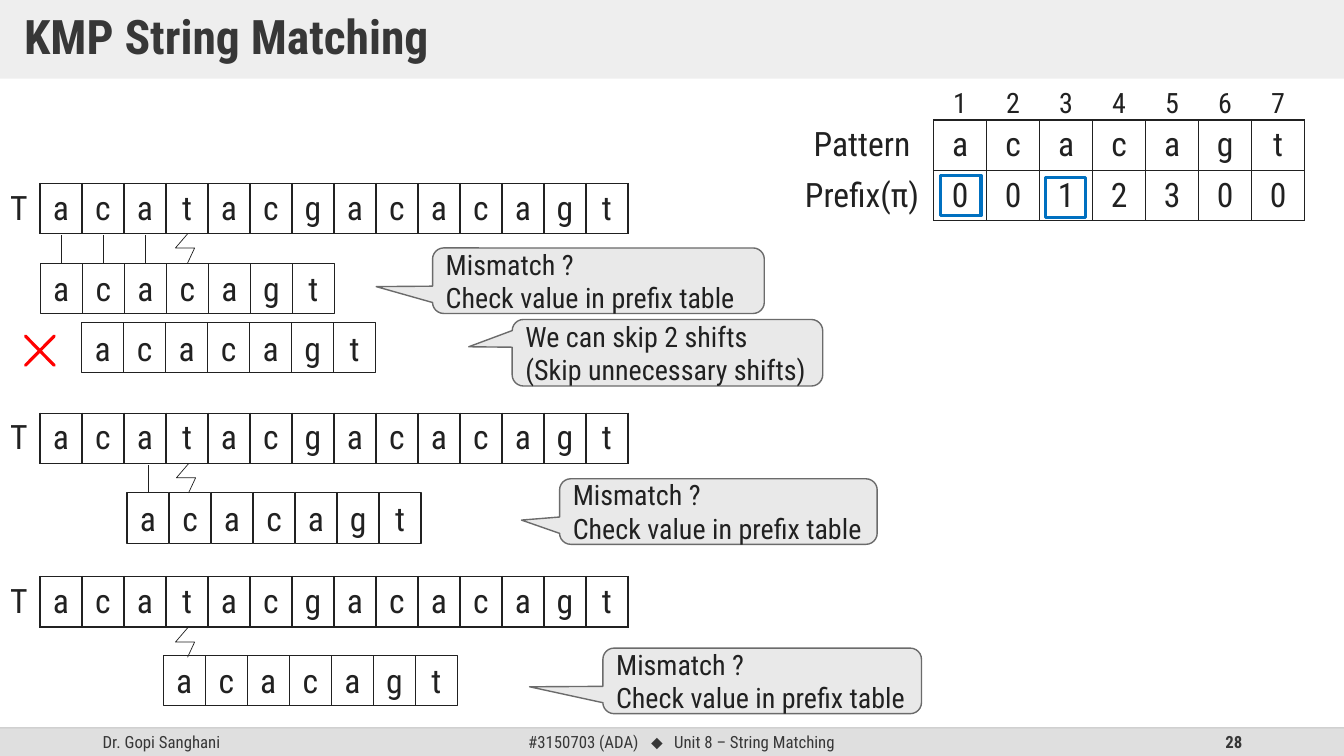
from dataclasses import dataclass

from lxml import etree
from pptx import Presentation
from pptx.dml.color import RGBColor
from pptx.enum.shapes import MSO_CONNECTOR, MSO_SHAPE
from pptx.enum.text import MSO_ANCHOR, PP_ALIGN
from pptx.oxml.ns import qn
from pptx.util import Inches, Pt

RECTANGLE, ROUNDED = MSO_SHAPE.RECTANGLE, MSO_SHAPE.ROUNDED_RECTANGLE
CALLOUT, MULTIPLY = MSO_SHAPE.ROUNDED_RECTANGULAR_CALLOUT, MSO_SHAPE.MATH_MULTIPLY
STRAIGHT = MSO_CONNECTOR.STRAIGHT
LEFT, CENTER, RIGHT = PP_ALIGN.LEFT, PP_ALIGN.CENTER, PP_ALIGN.RIGHT
MIDDLE, BOTTOM = MSO_ANCHOR.MIDDLE, MSO_ANCHOR.BOTTOM

WIDTH, HEIGHT = 13.33, 7.5
FOOTER_TOP, FOOTER_HEIGHT = 7.22, 0.28
CELL_WIDTH, CELL_HEIGHT = 6.25 / 15, 0.5
MATCH_GAP = 0.28
TEXT, PATTERN = "acatacgacacagt", "acacagt"
MISMATCH = ["Mismatch ?", "Check value in prefix table"]
SKIP = ["We can skip 2 shifts", "(Skip unnecessary shifts)"]


@dataclass(frozen=True)
class Theme:
    """Colours, font names and type sizes of the slide."""
    font: str = "Roboto Condensed"
    symbol_font: str = "Arial"
    ink: str = "212121"
    heading: str = "373737"
    bar: str = "DFDFDF"
    rule: str = "BFBFBF"
    bubble: str = "E9E9E9"
    bubble_edge: str = "6B6B6B"
    highlight: str = "0070C0"
    cross: str = "FF0000"
    cross_fill: str = "909090"
    title_size: int = 34
    letter_size: int = 24
    note_size: int = 20
    footer_size: int = 12


class SlideBuilder:
    """Draws styled elements on one slide."""

    def __init__(self, slide, theme):
        self.shapes, self.theme = slide.shapes, theme

    def style(self, span, size, color=None, bold=False):
        span.font.name, span.font.size, span.font.bold = self.theme.font, Pt(size), bold
        span.font.color.rgb = RGBColor.from_string(color or self.theme.ink)

    def set_text(self, frame, lines, size, color=None, align=CENTER, bold=False):
        frame.text = "\n".join(lines)
        for para in frame.paragraphs:
            para.alignment = align
            for span in para.runs:
                self.style(span, size, color, bold)

    def paint(self, shape, fill=None, line=None, weight=1):
        shape.shadow.inherit = False
        if fill:
            shape.fill.solid()
            shape.fill.fore_color.rgb = RGBColor.from_string(fill)
        else:
            shape.fill.background()
        if line:
            shape.line.color.rgb = RGBColor.from_string(line)
            shape.line.width = Pt(weight)
        else:
            shape.line.fill.background()

    def fade(self, shape, percent):
        for color in shape._element.spPr.iter(qn("a:srgbClr")):
            etree.SubElement(color, qn("a:alpha"), val=str(percent * 1000))

    def box(self, kind, left, top, width, height, adjust=(), **paint):
        shape = self.shapes.add_shape(kind, *map(Inches, (left, top, width, height)))
        for index, value in enumerate(adjust):
            shape.adjustments[index] = value
        self.paint(shape, **paint)
        shape.text_frame.word_wrap = True
        shape.text_frame.vertical_anchor = MIDDLE
        return shape

    def line(self, start, end, color, weight):
        line = self.shapes.add_connector(STRAIGHT, *map(Inches, (*start, *end)))
        line.line.color.rgb = RGBColor.from_string(color)
        line.line.width = Pt(weight)
        etree.SubElement(line._element.spPr, qn("a:effectLst"))
        return line

    def title(self, text):
        bar = self.box(RECTANGLE, 0, 0, WIDTH, 0.78, fill=self.theme.bar)
        self.fade(bar, 50)
        frame = bar.text_frame
        frame.margin_left = frame.margin_right = Inches(0.24)
        frame.margin_top = frame.margin_bottom = Inches(0.12)
        self.set_text(frame, [text], self.theme.title_size, self.theme.heading, LEFT, True)
        frame.paragraphs[0].line_spacing = 0.9

    def footer_text(self, left, width, text, align, bold=False):
        box = self.shapes.add_textbox(*map(Inches, (left, FOOTER_TOP, width, FOOTER_HEIGHT)))
        box.text_frame.word_wrap = True
        box.text_frame.vertical_anchor = MIDDLE
        self.set_text(box.text_frame, [text], self.theme.footer_size, self.theme.heading,
                      align, bold)
        return box.text_frame.paragraphs[0]

    def footer(self, author, course, unit, number):
        self.box(ROUNDED, 0, FOOTER_TOP, WIDTH, FOOTER_HEIGHT, [0], fill=self.theme.bar)
        self.footer_text(0.92, 3, author, LEFT)
        para = self.footer_text(4.42, 4.68, course, CENTER)
        for text in (" ⬥", f" {unit}"):
            span = para.add_run()
            span.text = text
            self.style(span, self.theme.footer_size, self.theme.heading)
        diamond = para.runs[1]
        diamond.font.name = self.theme.symbol_font
        diamond._r.get_or_add_rPr().set("spc", "540")
        self.footer_text(9.42, 3, number, RIGHT, True)
        rule = self.line((0, FOOTER_TOP), (WIDTH, FOOTER_TOP), self.theme.rule, 1)
        self.fade(rule, 70)

    def borders(self, cell, sides):
        properties = cell._tc.get_or_add_tcPr()
        for index, side in enumerate("LRTB"):
            edge = etree.Element(qn(f"a:ln{side}"), w=str(Pt(1)))
            if side in sides:
                fill = etree.SubElement(edge, qn("a:solidFill"))
                etree.SubElement(fill, qn("a:srgbClr"), val=self.theme.ink)
            else:
                etree.SubElement(edge, qn("a:noFill"))
            properties.insert(index, edge)

    def table(self, left, top, widths, height, rows, has_header=False):
        frame = self.shapes.add_table(len(rows), len(widths), *map(
            Inches, (left, top, sum(widths), height * len(rows))))
        table = frame.table
        table.first_row = table.horz_banding = False
        for column, width in zip(table.columns, widths):
            column.width = Inches(width)
        for row_index, values in enumerate(rows):
            table.rows[row_index].height = Inches(height)
            is_header = has_header and row_index == 0
            for column_index, value in enumerate(values):
                cell = table.cell(row_index, column_index)
                cell.fill.background()
                cell.vertical_anchor = BOTTOM if is_header else MIDDLE
                if is_header:
                    cell.margin_bottom = 0
                size = self.theme.note_size if is_header else self.theme.letter_size
                self.set_text(cell.text_frame, [value], size)
                if column_index == 0:
                    self.borders(cell, "" if is_header else "R")
                else:
                    self.borders(cell, "B" if is_header else "LRTB")

    def pattern(self, left, top, matches):
        for index, letter in enumerate(PATTERN):
            cell_left = left + index * CELL_WIDTH
            cell = self.box(RECTANGLE, cell_left, top, CELL_WIDTH, CELL_HEIGHT,
                            line=self.theme.ink, weight=0.75)
            self.set_text(cell.text_frame, [letter], self.theme.letter_size)
            if index < matches:
                middle = cell_left + CELL_WIDTH / 2
                link = self.line((middle, top), (middle, top - MATCH_GAP), self.theme.ink, 0.5)
                link.begin_connect(cell, 0)

    def bolt(self, left, top):
        start, *rest = [(Inches(left + x), Inches(top + y)) for x, y in
                        ((0.12, 0), (0, 0.14), (0.19, 0.14), (0.12, 0.29))]
        outline = self.shapes.build_freeform(*start)
        outline.add_line_segments(rest, close=False)
        self.paint(outline.convert_to_shape(), line=self.theme.ink, weight=0.5)

    def callout(self, place, tip, lines):
        bubble = self.box(CALLOUT, *place, [*tip, 0.17],
                          fill=self.theme.bubble, line=self.theme.bubble_edge)
        self.set_text(bubble.text_frame, lines, self.theme.note_size, align=LEFT)


def main():
    """Build the string matching slide and save it."""
    deck = Presentation()
    deck.slide_width, deck.slide_height = Inches(WIDTH), Inches(HEIGHT)
    theme = Theme()
    page = SlideBuilder(deck.slides.add_slide(deck.slide_layouts[6]), theme)
    page.footer("Dr. Gopi Sanghani", "#3150703 (ADA)", "Unit 8 – String Matching", "28")
    page.title("KMP String Matching")
    prefix_rows = [["", *"1234567"], ["Pattern", *PATTERN], ["Prefix(π)", *"0012300"]]
    page.table(7.84, 0.7, [1.42] + [3.68 / 7] * 7, 0.49, prefix_rows, has_header=True)
    for left, top in ((9.33, 1.74), (10.37, 1.76)):
        page.box(RECTANGLE, left, top, 0.4, 0.4, line=theme.highlight, weight=2.25)
    for top in (1.82, 4.1, 5.72):
        page.table(-0.02, top, [CELL_WIDTH] * 15, CELL_HEIGHT, [["T", *TEXT]])
    for left, top, matches in ((0.4, 2.61, 3), (0.81, 3.2, 0), (1.26, 4.89, 1), (1.62, 6.5, 0)):
        page.pattern(left, top, matches)
    for left, top in ((1.74, 2.32), (1.75, 4.6), (1.74, 6.23)):
        page.bolt(left, top)
    for place, tip, lines in (
        ((4.29, 2.46, 3.29, 0.65), (-0.67, 0.09), MISMATCH),
        ((5.08, 3.17, 3.08, 0.66), (-0.64, -0.09), SKIP),
        ((5.55, 4.75, 3.15, 0.65), (-0.62, 0.13), MISMATCH),
        ((5.98, 6.43, 3.16, 0.65), (-0.73, 0.09), MISMATCH),
    ):
        page.callout(place, tip, lines)
    page.box(MULTIPLY, 0.12, 3.2, 0.55, 0.56, [0],
             fill=theme.cross_fill, line=theme.cross, weight=2.25)
    deck.save("out.pptx")


if __name__ == "__main__":
    main()
